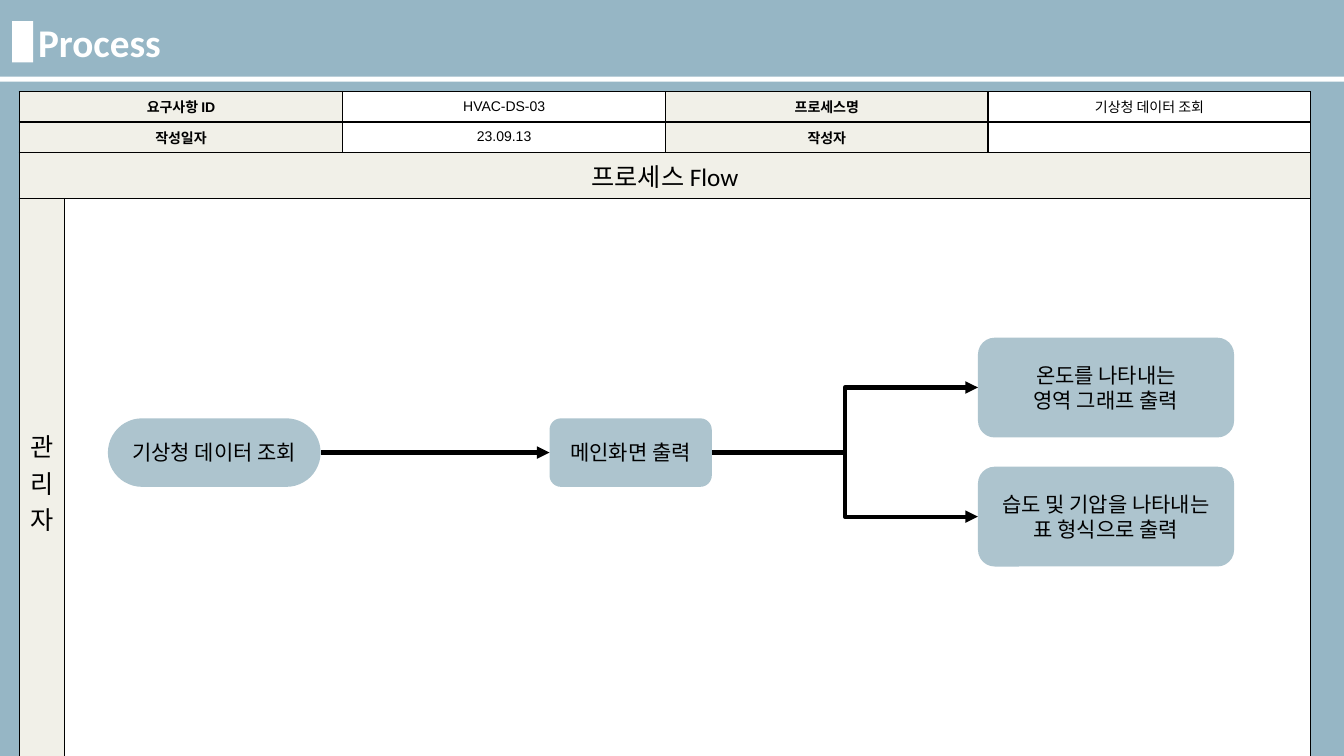
from typing import NamedTuple

from lxml.etree import SubElement
from pptx import Presentation
from pptx.dml.color import RGBColor
from pptx.enum.shapes import MSO_CONNECTOR, MSO_SHAPE
from pptx.enum.text import MSO_ANCHOR, PP_ALIGN
from pptx.oxml.ns import qn
from pptx.util import Inches, Pt

BLACK = RGBColor(0x00, 0x00, 0x00)
WHITE = RGBColor(0xFF, 0xFF, 0xFF)
SLATE = RGBColor(0x96, 0xB6, 0xC5)
MIST = RGBColor(0xAD, 0xC4, 0xCE)
CREAM = RGBColor(0xF1, 0xF0, 0xE8)


class Box(NamedTuple):
    left: float
    top: float
    width: float
    height: float


class Step(NamedTuple):
    text: str
    box: Box
    adj: float = 0.167


class Field(NamedTuple):
    row: int
    col: int
    text: str
    size: int = 10
    font: str = "Arial"
    label: bool = True
    last_col: int = 0


class Link(NamedTuple):
    start: int
    end: int
    kind: MSO_CONNECTOR


COLUMNS = [0.45, 2.76, 3.2, 3.2, 3.2]
ROWS = [0.3, 0.3, 0.46, 5.62]

FIELDS = [
    Field(0, 0, "요구사항 ID", last_col=1),
    Field(0, 2, "HVAC-DS-03", label=False),
    Field(0, 3, "프로세스명"),
    Field(0, 4, "기상청 데이터 조회", label=False),
    Field(1, 0, "작성일자", last_col=1),
    Field(1, 2, "23.09.13", label=False),
    Field(1, 3, "작성자"),
    Field(2, 0, "프로세스 Flow", 18, "Calibri", last_col=4),
    Field(3, 0, "관리자", 18, "Calibri"),
    Field(3, 1, "", label=False, last_col=4),
]

STEPS = [
    Step("기상청 데이터 조회", Box(1.07, 4.15, 2.11, 0.68), 0.5),
    Step("메인화면 출력", Box(5.45, 4.15, 1.61, 0.68)),
    Step("온도를 나타내는\n영역 그래프 출력", Box(9.7, 3.35, 2.54, 0.99)),
    Step("습도 및 기압을 나타내는\n표 형식으로 출력", Box(9.7, 4.63, 2.54, 0.99)),
]

LINKS = [
    Link(0, 1, MSO_CONNECTOR.STRAIGHT),
    Link(1, 3, MSO_CONNECTOR.ELBOW),
    Link(1, 2, MSO_CONNECTOR.ELBOW),
]


def style_text(tf, size: int, font: str, color: RGBColor, bold: bool, align) -> None:
    for p in tf.paragraphs:
        p.alignment = align
        for r in p.runs:
            r.font.size = Pt(size)
            r.font.name = font
            r.font.bold = bold
            r.font.color.rgb = color


def add_block(s, kind, box: Box, color: RGBColor):
    sp = s.shapes.add_shape(kind, *map(Inches, box))
    sp.shadow.inherit = False
    sp.fill.solid()
    sp.fill.fore_color.rgb = color
    sp.line.fill.background()
    return sp


def add_step(s, step: Step):
    sp = add_block(s, MSO_SHAPE.ROUNDED_RECTANGLE, step.box, MIST)
    sp.adjustments[0] = step.adj
    tf = sp.text_frame
    tf.text = step.text
    tf.word_wrap = False
    tf.vertical_anchor = MSO_ANCHOR.MIDDLE
    style_text(tf, 15, "Calibri", BLACK, False, PP_ALIGN.CENTER)
    return sp


def add_link(s, link: Link, boxes: list) -> None:
    cxn = s.shapes.add_connector(link.kind, 0, 0, 0, 0)
    cxn.begin_connect(boxes[link.start], 3)
    cxn.end_connect(boxes[link.end], 1)
    cxn.line.color.rgb = BLACK
    cxn.line.width = Pt(3)
    SubElement(cxn.line._get_or_add_ln(), qn("a:tailEnd"), type="triangle")
    SubElement(cxn._element.spPr, qn("a:effectLst"))


def style_cell(cell) -> None:
    tc_pr = cell._tc.get_or_add_tcPr()
    for side in ("lnL", "lnR", "lnT", "lnB"):
        ln = SubElement(tc_pr, qn(f"a:{side}"), w=str(Pt(1)))
        fill = SubElement(ln, qn("a:solidFill"))
        SubElement(fill, qn("a:srgbClr"), val=str(BLACK))
    cell.fill.solid()
    cell.fill.fore_color.rgb = WHITE
    cell.vertical_anchor = MSO_ANCHOR.MIDDLE
    p = cell.text_frame.paragraphs[0]
    SubElement(p._p, qn("a:endParaRPr"), sz="1000")


def add_form(s) -> None:
    box = Box(0.19, 0.91, sum(COLUMNS), sum(ROWS))
    frame = s.shapes.add_table(len(ROWS), len(COLUMNS), *map(Inches, box))
    table = frame.table
    for column, width in zip(table.columns, COLUMNS):
        column.width = Inches(width)
    for row, height in zip(table.rows, ROWS):
        row.height = Inches(height)
    for cell in table.iter_cells():
        style_cell(cell)
    for field in FIELDS:
        cell = table.cell(field.row, field.col)
        if field.last_col:
            cell.merge(table.cell(field.row, field.last_col))
        if field.text:
            cell.text_frame.text = field.text
        if field.label:
            cell.fill.fore_color.rgb = CREAM
        bold = field.label and field.size == 10
        style_text(cell.text_frame, field.size, field.font, BLACK, bold, PP_ALIGN.CENTER)


def add_title(s) -> None:
    title = s.shapes.add_textbox(*map(Inches, Box(0.28, 0.13, 11.97, 0.57)))
    tf = title.text_frame
    tf.word_wrap = True
    tf.text = "Process"
    style_text(tf, 28, "Calibri", WHITE, True, PP_ALIGN.LEFT)
    for box in (Box(0.12, 0.21, 0.21, 0.41), Box(0, 0.76, 13.33, 0.05)):
        add_block(s, MSO_SHAPE.RECTANGLE, box, WHITE)


prs = Presentation()
prs.slide_width = Inches(13.33)
prs.slide_height = Inches(7.5)
s = prs.slides.add_slide(prs.slide_layouts[6])
s.background.fill.solid()
s.background.fill.fore_color.rgb = SLATE

add_form(s)
add_title(s)
step_shapes = [add_step(s, step) for step in STEPS]
for link in LINKS:
    add_link(s, link, step_shapes)

prs.save("out.pptx")
